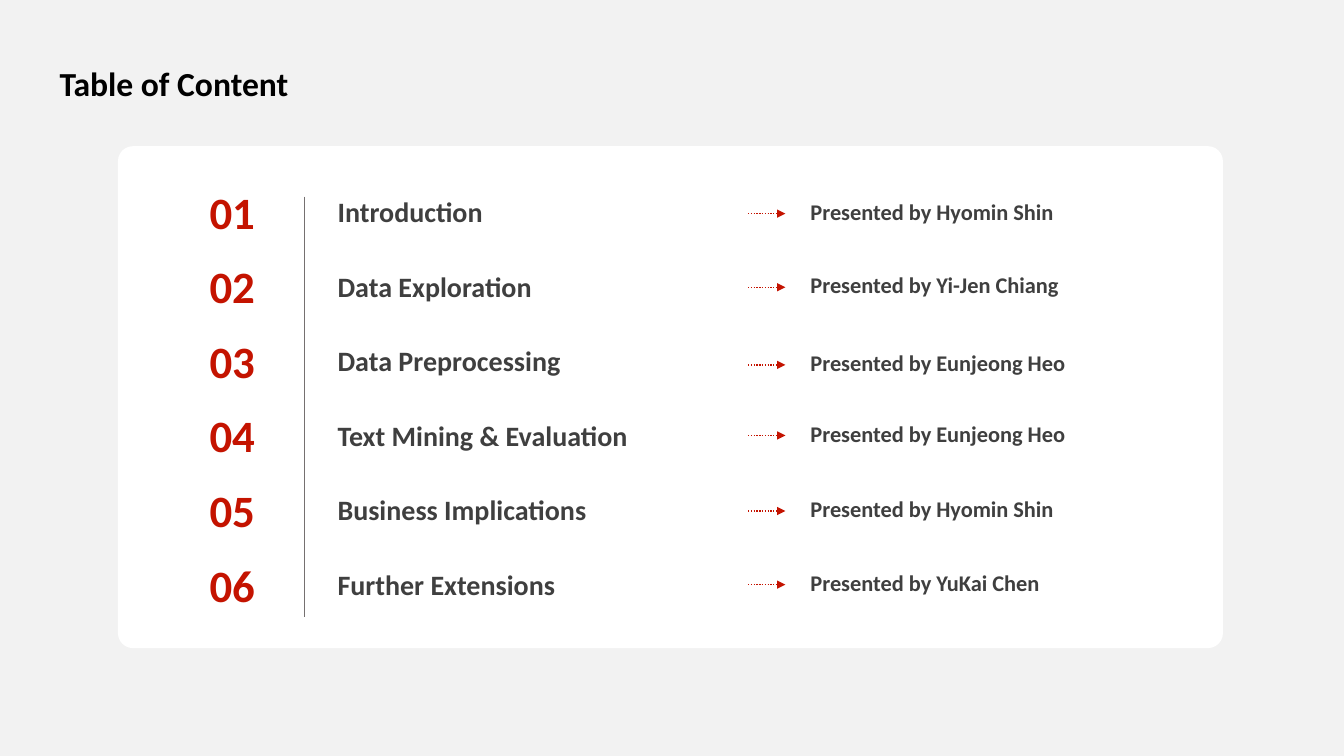
from pptx import Presentation
from pptx.dml.color import RGBColor
from pptx.enum.dml import MSO_LINE
from pptx.enum.shapes import MSO_CONNECTOR, MSO_SHAPE
from pptx.enum.text import MSO_ANCHOR, MSO_AUTO_SIZE, PP_ALIGN
from pptx.oxml.ns import qn
from pptx.util import Inches, Pt
from lxml import etree

STRAIGHT, ROUNDED, DOT = MSO_CONNECTOR.STRAIGHT, MSO_SHAPE.ROUNDED_RECTANGLE, MSO_LINE.ROUND_DOT
TOP, LEFT, NO_FIT = MSO_ANCHOR.TOP, PP_ALIGN.LEFT, MSO_AUTO_SIZE.NONE

PAPER = RGBColor(0xF2, 0xF2, 0xF2)
WHITE = RGBColor(0xFF, 0xFF, 0xFF)
BLACK = RGBColor(0x00, 0x00, 0x00)
RED = RGBColor(0xC4, 0x13, 0x00)
DARK = RGBColor(0x3F, 0x3F, 0x3F)
GRAY = RGBColor(0x75, 0x70, 0x70)

# Columns and rows, in inches
NUMBER_X, RULE_X, TOPIC_X, PRESENTER_X = 1.98, 3.02, 3.25, 7.94
ARROW_X, ARROW_END = 7.42, 7.79
FIRST_ROW, ROW_STEP = 2.1, 0.74

# Topic, presenter, height of the arrow
ROWS = [
    ("Introduction", "Presented by Hyomin Shin", 2.12),
    ("Data Exploration", "Presented by Yi-Jen Chiang", 2.85),
    ("Data Preprocessing", "Presented by Eunjeong Heo", 3.62),
    ("Text Mining & Evaluation", "Presented by Eunjeong Heo", 4.32),
    ("Business Implications", "Presented by Hyomin Shin", 5.07),
    ("Further Extensions", "Presented by YuKai Chen", 5.8),
]


def add_text(text, x, middle, w, h, size, color=DARK, shape=None):
    """Write bold text, centred on a height, in a new box or a given shape."""
    box = (Inches(x), Inches(middle - h / 2), Inches(w), Inches(h))
    if shape is None:
        shape = s.shapes.add_textbox(*box)
    else:
        shape.left, shape.top, shape.width, shape.height = box
    tf = shape.text_frame
    tf.word_wrap, tf.auto_size, tf.vertical_anchor = True, NO_FIT, TOP
    p = tf.paragraphs[0]
    p.alignment = LEFT
    r = p.add_run()
    r.text = text
    r.font.name, r.font.size, r.font.bold = "Calibri", Pt(size), True
    r.font.color.rgb = color


def add_line(x1, y1, x2, y2, color, width):
    line = s.shapes.add_connector(STRAIGHT, Inches(x1), Inches(y1), Inches(x2), Inches(y2))
    line.line.color.rgb, line.line.width = color, Pt(width)
    etree.SubElement(line._element.spPr, qn("a:effectLst"))
    return line.line


prs = Presentation()
prs.slide_width, prs.slide_height = Inches(13.33), Inches(7.5)
s = prs.slides.add_slide(prs.slide_layouts[5])
s.background.fill.solid()
s.background.fill.fore_color.rgb = PAPER

# Title
add_text("Table of Content", 0.49, 0.82, 3.34, 0.5, 24, BLACK, s.shapes.title)

# White card and vertical rule
card = s.shapes.add_shape(ROUNDED, Inches(1.17), Inches(1.45), Inches(10.96), Inches(4.98))
card.adjustments[0] = 0.03
card.shadow.inherit = False
card.fill.solid()
card.fill.fore_color.rgb = WHITE
card.line.fill.background()
add_line(RULE_X, 1.95, RULE_X, 6.12, GRAY, 0.75)

# Agenda rows
for i, (topic, presenter, arrow_y) in enumerate(ROWS):
    y = FIRST_ROW + i * ROW_STEP
    add_text(f"{i + 1:02}", NUMBER_X, y, 0.74, 0.64, 32, RED)
    add_text(topic, TOPIC_X, y, 3.1, 0.44, 20)
    arrow = add_line(ARROW_X, arrow_y, ARROW_END, arrow_y, RED, 1)
    arrow.dash_style = DOT
    etree.SubElement(arrow._get_or_add_ln(), qn("a:tailEnd"), type="triangle")
    add_text(presenter, PRESENTER_X, arrow_y - 0.02, 2.76, 0.37, 16)

prs.save("out.pptx")
